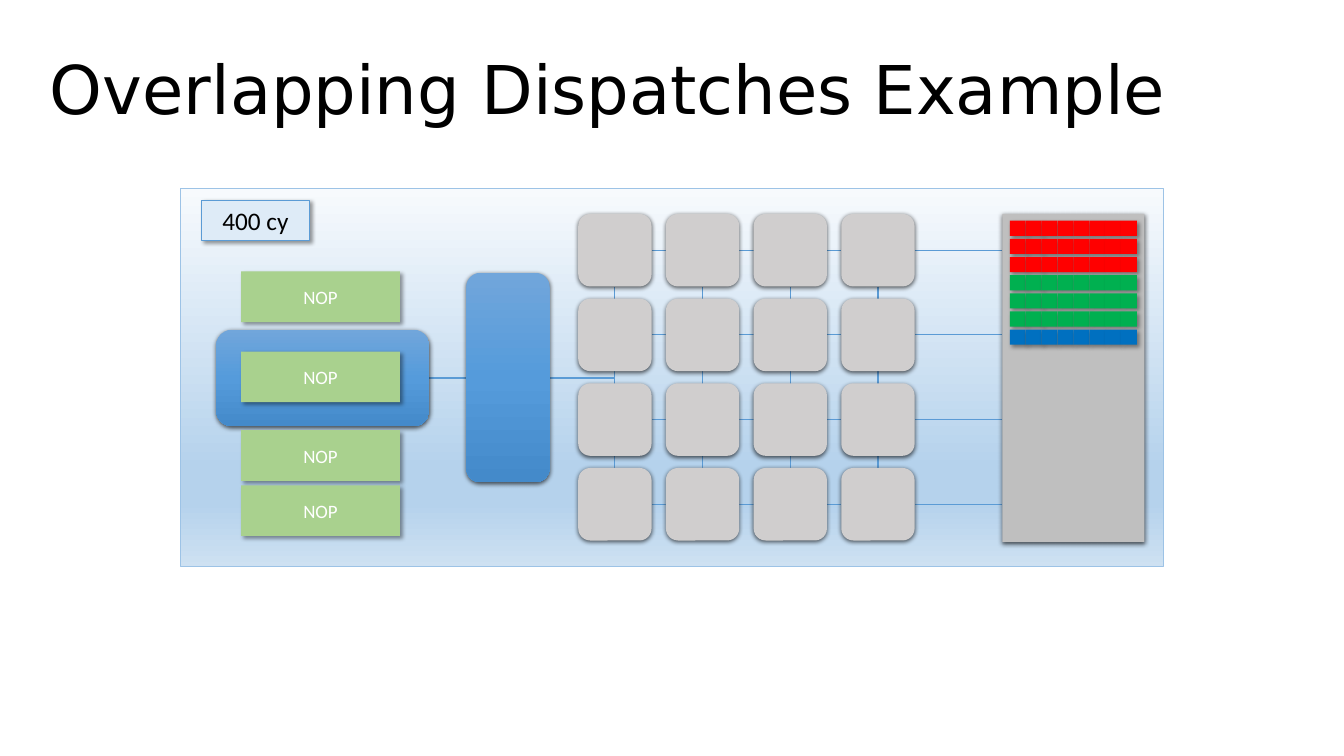
from lxml import etree
from pptx import Presentation
from pptx import util as u
from pptx.dml.color import RGBColor
from pptx.enum import shapes, text
from pptx.oxml import ns

BLACK = RGBColor(0x00, 0x00, 0x00)
WHITE = RGBColor(0xFF, 0xFF, 0xFF)
BLUE = RGBColor(0x5B, 0x9B, 0xD5)
LIGHT_BLUE = RGBColor(0x9D, 0xC3, 0xE6)
PALE_BLUE = RGBColor(0xDE, 0xEB, 0xF7)
CORE_GRAY = RGBColor(0xD0, 0xCE, 0xCE)
MEMORY_GRAY = RGBColor(0xBF, 0xBF, 0xBF)
LIGHT_GREEN = RGBColor(0xA9, 0xD1, 0x8E)
RED = RGBColor(0xFF, 0x00, 0x00)
GREEN = RGBColor(0x00, 0xB0, 0x50)
DEEP_BLUE = RGBColor(0x00, 0x70, 0xC0)
PANEL_STOPS = [
    (0, RGBColor(0xF7, 0xFA, 0xFD)),
    (74, RGBColor(0xB5, 0xD2, 0xEC)),
    (83, RGBColor(0xB5, 0xD2, 0xEC)),
    (100, RGBColor(0xCE, 0xE1, 0xF2)),
]
UNIT_STOPS = [
    (0, RGBColor(0x71, 0xA6, 0xDB)),
    (50, RGBColor(0x55, 0x9B, 0xDB)),
    (100, RGBColor(0x44, 0x8A, 0xCA)),
]
SOFT = dict(alpha=63, blur=4.5, dist=1.5, angle=90)
DROP = dict(alpha=40, blur=4, dist=3, angle=45)
RECT = shapes.MSO_SHAPE.RECTANGLE
ROUND = shapes.MSO_SHAPE.ROUNDED_RECTANGLE


def add_node(parent, tag, **attrs):
    return etree.SubElement(parent, ns.qn(tag), {k: str(v) for k, v in attrs.items()})


def write_text(tf, content, size=18, font="Calibri", color=WHITE,
               align=text.PP_ALIGN.CENTER):
    tf.word_wrap = True
    tf.vertical_anchor = text.MSO_ANCHOR.MIDDLE
    p = tf.paragraphs[0]
    p.alignment = align
    r = p.add_run()
    r.text = content
    r.font.size = u.Pt(size)
    r.font.name = font
    r.font.color.rgb = color


class Diagram:
    line_color = BLUE
    line_width = u.Pt(1)

    def __init__(self, s):
        self.s = s

    def title(self, content, left, top, width, height):
        sp = self.s.shapes.title
        sp.left, sp.top = u.Inches(left), u.Inches(top)
        sp.width, sp.height = u.Inches(width), u.Inches(height)
        write_text(sp.text_frame, content, size=64, font="DejaVu Sans", color=BLACK,
                   align=text.PP_ALIGN.LEFT)

    def box(self, left, top, width, height, fill, kind=RECT, line=None, shadow=None):
        sp = self.s.shapes.add_shape(kind, *map(u.Inches, (left, top, width, height)))
        if isinstance(fill, list):
            self.gradient(sp, fill)
        else:
            sp.fill.solid()
            sp.fill.fore_color.rgb = fill
        if line is None:
            sp.line.fill.background()
        else:
            sp.line.color.rgb = line
            sp.line.width = self.line_width
        sp.shadow.inherit = False
        if shadow:
            self.cast_shadow(sp, **shadow)
        return sp

    def gradient(self, sp, stops):
        sp.fill.gradient()
        sp.fill.gradient_angle = 270
        gs_list = sp._element.spPr.find(".//" + ns.qn("a:gsLst"))
        for gs in list(gs_list):
            gs_list.remove(gs)
        for position, color in stops:
            gs = add_node(gs_list, "a:gs", pos=position * 1000)
            add_node(gs, "a:srgbClr", val=color)

    def cast_shadow(self, sp, alpha, blur, dist, angle):
        effects = sp._element.spPr.find(ns.qn("a:effectLst"))
        outer = add_node(effects, "a:outerShdw", blurRad=u.Pt(blur), dist=u.Pt(dist),
                         dir=angle * 60000, algn="ctr", rotWithShape=0)
        color = add_node(outer, "a:srgbClr", val=BLACK)
        add_node(color, "a:alpha", val=alpha * 1000)

    def label(self, content, left, top, width, height, fill, line=None, **style):
        sp = self.box(left, top, width, height, fill, line=line, shadow=DROP)
        write_text(sp.text_frame, content, **style)

    def wire(self, x1, y1, x2, y2):
        c = self.s.shapes.add_connector(shapes.MSO_CONNECTOR.STRAIGHT,
                                        *map(u.Inches, (x1, y1, x2, y2)))
        c.line.color.rgb = self.line_color
        c.line.width = self.line_width
        add_node(c._element.spPr, "a:effectLst")


def main():
    prs = Presentation()
    prs.slide_width, prs.slide_height = u.Inches(17.78), u.Inches(10)
    d = Diagram(prs.slides.add_slide(prs.slide_layouts[5]))
    d.title("Overlapping Dispatches Example", 0.56, 0.4, 16.83, 1.52)
    d.box(2.39, 2.5, 13, 5, PANEL_STOPS, line=LIGHT_BLUE)

    core_w, core_h = 0.97, 0.96
    columns = [7.65 + 1.16 * i for i in range(4)]
    rows = [2.83 + 1.12 * i for i in range(4)]
    memory_x, bus_y = 13.26, 5
    for x in columns:
        center = x + core_w / 2
        d.wire(center, rows[0] + core_h, center, rows[-1])
    for y in rows:
        center = y + core_h / 2
        d.wire(columns[0] + core_w, center, columns[-1], center)
        d.wire(columns[-1] + core_w, center, memory_x, center)
    for y in rows:
        for x in columns:
            d.box(x, y, core_w, core_h, CORE_GRAY, kind=ROUND, shadow=SOFT)

    d.wire(columns[0] + core_w / 2, bus_y, 6.17, bus_y)
    d.wire(6.17, bus_y, 5.68, bus_y)
    d.box(2.86, 4.36, 2.82, 1.28, UNIT_STOPS, kind=ROUND, shadow=SOFT)
    d.box(6.17, 3.61, 1.1, 2.77, UNIT_STOPS, kind=ROUND, shadow=SOFT)
    for y in (3.59, 4.65, 5.69, 6.42):
        d.label("NOP", 3.19, y, 2.1, 0.67, LIGHT_GREEN)
    d.label("400 cy", 2.67, 2.65, 1.42, 0.53, PALE_BLUE, line=BLUE, size=24, color=BLACK)

    d.box(memory_x, 2.83, 1.88, 4.34, MEMORY_GRAY, shadow=SOFT)
    for i, color in enumerate([RED] * 3 + [GREEN] * 3 + [DEEP_BLUE]):
        for j in range(8):
            d.box(13.36 + 0.21 * j, 2.92 + 0.24 * i, 0.21, 0.2, color, shadow=DROP)

    prs.save("out.pptx")


if __name__ == "__main__":
    main()
